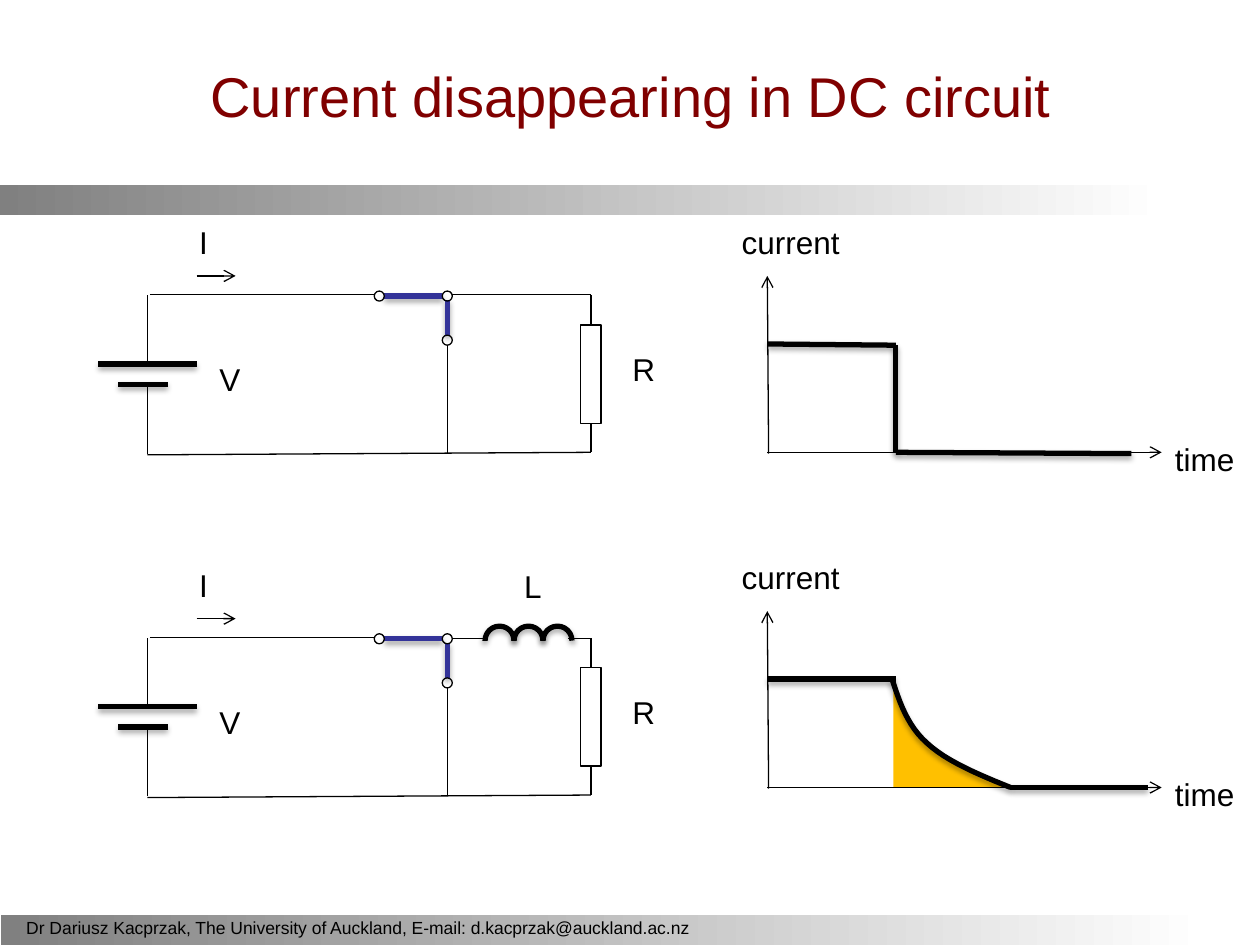
from lxml import etree
from pptx import Presentation
from pptx.dml.color import RGBColor
from pptx.enum.shapes import MSO_CONNECTOR, MSO_SHAPE
from pptx.enum.text import MSO_ANCHOR, MSO_AUTO_SIZE, PP_ALIGN
from pptx.oxml.ns import qn
from pptx.util import Inches, Pt

LINE = MSO_CONNECTOR.STRAIGHT
RECT, OVAL, ARC = MSO_SHAPE.RECTANGLE, MSO_SHAPE.OVAL, MSO_SHAPE.ARC
LEFT, CENTER = PP_ALIGN.LEFT, PP_ALIGN.CENTER
TOP, MIDDLE = MSO_ANCHOR.TOP, MSO_ANCHOR.MIDDLE
FIT, FIXED = MSO_AUTO_SIZE.SHAPE_TO_FIT_TEXT, MSO_AUTO_SIZE.NONE
FONT = "Arial"
THIN, THICK = 0.75, 3
COLORS = {"ink": "000000", "title": "800000", "switch": "333399",
          "energy": "FFC000", "bar": "808080", "paper": "FFFFFF"}

TITLE = "Current disappearing in DC circuit"
FOOTER = ("Dr Dariusz Kacprzak, The University of Auckland, "
          "E-mail: d.kacprzak@auckland.ac.nz")
BARS = [(0.01, 7.26, 9.57, 0.24), (0, 1.47, 9.25, 0.24)]

CIRCUIT_STEP, GRAPH_STEP = 2.72, 2.66
WIRES = [(1.17, 2.89, 1.17, 2.34), (1.19, 2.34, 2.97, 2.34),
         (1.17, 3.6, 1.17, 3.05), (1.17, 3.61, 4.69, 3.59),
         (4.69, 2.58, 4.69, 2.34), (4.69, 3.59, 4.69, 3.36),
         (3.55, 3.6, 3.55, 2.74)]
BATTERY = [(0.78, 2.89, 1.56, 2.89), (0.94, 3.05, 1.33, 3.05)]
SWITCH = [(3.05, 2.35, 3.51, 2.35), (3.55, 2.66, 3.55, 2.38)]
CONTACTS = [(2.97, 2.31), (3.51, 2.31), (3.51, 2.66)]
CIRCUIT_LABELS = [("R", 4.92, 2.73, 0.38), ("V", 1.64, 2.81, 0.37),
                  ("I", 1.48, 1.72, 0.27)]
LOAD_WIRES = [[(3.59, 2.34, 4.69, 2.34)],
              [(3.59, 5.07, 3.85, 5.07), (4.51, 5.07, 4.69, 5.07)]]
COIL_LEFT, COIL_TOP, COIL_SIZE, COIL_TURNS = 3.85, 4.97, 0.23, 3

AXES = [(6.09, 3.59, 9.22, 3.59), (6.1, 3.6, 6.09, 2.19)]
GRAPH_LABELS = [("time", 9.22, 3.44, 0.68), ("current", 5.78, 1.72, 0.99)]
TRACES = [[(6.09, 2.73, 7.11, 2.74), (7.11, 3.59, 7.11, 2.74),
           (7.11, 3.59, 8.98, 3.6)],
          [(6.09, 5.39, 7.11, 5.39), (8.02, 6.25, 9.11, 6.25)]]
DECAY = [[(7.08, 5.39), (7.14, 5.57), (7.2, 5.76), (7.36, 5.9)],
         [(7.36, 5.9), (7.51, 6.04), (7.77, 6.15), (8.02, 6.25)]]


def rgb(name):
    return RGBColor.from_string(COLORS[name])


def add_effects(sp, shadow):
    spPr = sp._element.spPr
    for old in spPr.findall(qn("a:effectLst")):
        spPr.remove(old)
    effects = etree.SubElement(spPr, qn("a:effectLst"))
    if shadow:
        outer = etree.SubElement(effects, qn("a:outerShdw"), blurRad="40000",
                                 dist="23000", dir="5400000", rotWithShape="0")
        color = etree.SubElement(outer, qn("a:srgbClr"), val=COLORS["ink"])
        etree.SubElement(color, qn("a:alpha"), val="35000")


def set_outline(sp, color="ink", width=THIN):
    sp.line.color.rgb = rgb(color)
    sp.line.width = Pt(width)
    add_effects(sp, width == THICK)


def add_line(ends, dy=0, color="ink", width=THIN, arrow=False):
    x1, y1, x2, y2 = ends
    sp = shapes.add_connector(LINE, Inches(x1), Inches(y1 + dy),
                              Inches(x2), Inches(y2 + dy))
    set_outline(sp, color, width)
    if arrow:
        etree.SubElement(sp.line._get_or_add_ln(), qn("a:tailEnd"), type="arrow")


def add_outline(kind, x, y, w, h, width=THIN):
    sp = shapes.add_shape(kind, Inches(x), Inches(y), Inches(w), Inches(h))
    sp.fill.background()
    set_outline(sp, width=width)
    return sp


def add_text(text, x, y, w, h=0.4, size=18, color="ink", align=CENTER,
             anchor=TOP, wrap=False):
    sp = shapes.add_textbox(Inches(x), Inches(y), Inches(w), Inches(h))
    tf = sp.text_frame
    tf.word_wrap = wrap
    tf.auto_size = FIXED if wrap else FIT
    tf.vertical_anchor = anchor
    p = tf.paragraphs[0]
    p.alignment = align
    r = p.add_run()
    r.text = text
    r.font.name, r.font.size, r.font.color.rgb = FONT, Pt(size), rgb(color)


def add_path(points, close):
    (x, y), *rest = [(Inches(px), Inches(py)) for px, py in points]
    builder = shapes.build_freeform(x, y)
    builder.add_line_segments(rest, close=close)
    return builder.convert_to_shape()


def bezier(points, t):
    weights = ((1 - t) ** 3, 3 * t * (1 - t) ** 2, 3 * t * t * (1 - t), t ** 3)
    return tuple(sum(w * pt[axis] for w, pt in zip(weights, points))
                 for axis in (0, 1))


def add_bar(x, y, w, h):
    sp = shapes.add_shape(RECT, Inches(x), Inches(y), Inches(w), Inches(h))
    sp.fill.gradient()
    sp.fill.gradient_angle = 0
    for stop, color in zip(sp.fill.gradient_stops, ("bar", "paper")):
        stop.color.rgb = rgb(color)
    sp.line.fill.background()
    sp.shadow.inherit = False


def add_circuit(dy, load_wires):
    for wire in WIRES:
        add_line(wire, dy)
    for wire in load_wires:
        add_line(wire)
    for plate in BATTERY:
        add_line(plate, dy, width=THICK)
    add_outline(RECT, 4.61, 2.58 + dy, 0.16, 0.78)
    for blade in SWITCH:
        add_line(blade, dy, "switch", THICK)
    for x, y in CONTACTS:
        add_outline(OVAL, x, y + dy, 0.08, 0.08)
    add_line((1.56, 2.19, 1.87, 2.19), dy, arrow=True)
    for text, x, y, w in CIRCUIT_LABELS:
        add_text(text, x, y + dy, w)


def add_graph(dy, traces):
    for axis in AXES:
        add_line(axis, dy, arrow=True)
    for text, x, y, w in GRAPH_LABELS:
        add_text(text, x, y + dy, w)
    for trace in traces:
        add_line(trace, width=THICK)


prs = Presentation()
prs.slide_width, prs.slide_height = Inches(10), Inches(7.5)
shapes = prs.slides.add_slide(prs.slide_layouts[6]).shapes

for bar in BARS:
    add_bar(*bar)
add_text(TITLE, 0.51, 0.13, 9, 1.25, size=32, color="title", anchor=MIDDLE, wrap=True)
add_text(FOOTER, 0.11, 7.23, 6.15, 0.29, size=10, align=LEFT, wrap=True)

curve = [bezier(part, i / 12) for part in DECAY for i in range(13)]
energy = add_path([(7.09, 6.25), (7.09, 5.39)] + curve[1:], True)
energy.fill.solid()
energy.fill.fore_color.rgb = rgb("energy")
energy.line.fill.background()
energy.shadow.inherit = False

for row in range(2):
    add_circuit(row * CIRCUIT_STEP, LOAD_WIRES[row])
    add_graph(row * GRAPH_STEP, TRACES[row])

decay = add_path(curve, False)
decay.fill.background()
set_outline(decay, width=THICK)

for turn in range(COIL_TURNS):
    sp = add_outline(ARC, COIL_LEFT + turn * COIL_SIZE, COIL_TOP,
                     COIL_SIZE, COIL_SIZE, THICK)
    sp.adjustments[0], sp.adjustments[1] = 107.22, 0
add_text("L", 4.06, 4.45, 0.34)

prs.save("out.pptx")
